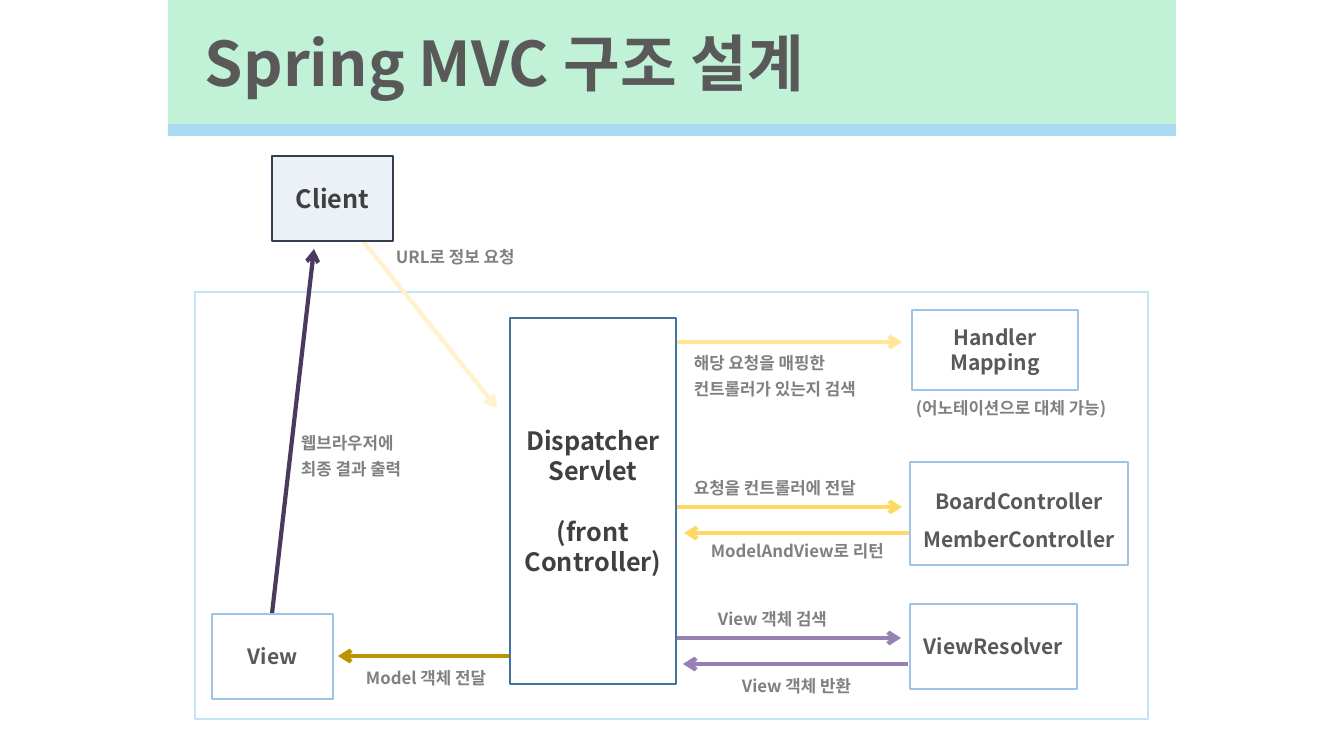
from lxml import etree
from pptx import Presentation
from pptx import util as u
from pptx.dml.color import RGBColor
from pptx.enum import shapes, text
from pptx.oxml.ns import qn

SCALE = 914400 / 100.8  # EMU per pixel
FONT = "Noto Sans CJK KR"
COLORS = {
    "mint": "C1F1D6", "sky": "A8DBF2", "frame": "C0E5F6",
    "title": "595959", "strong": "404040", "label": "808080",
    "client_fill": "ECF1F8", "client_edge": "333F50",
    "servlet_edge": "43739E", "box_edge": "9DC3E6",
    "request": "FFF2CC", "mapping": "FFE699", "controller": "FFD966",
    "resolver": "9780B2", "model": "BF9000", "response": "4B3A60",
}


def px(*lengths):
    return [u.Emu(round(length * SCALE)) for length in lengths]


def rgb(name):
    return RGBColor.from_string(COLORS[name])


def write(shape, lines, size, color, align, spacing=None):
    frame = shape.text_frame
    frame.word_wrap = True
    frame.vertical_anchor = text.MSO_ANCHOR.MIDDLE
    for index, line in enumerate(lines):
        paragraph = frame.paragraphs[0] if index == 0 else frame.add_paragraph()
        paragraph.alignment = align
        if spacing:
            paragraph.line_spacing = spacing
        run = paragraph.add_run()
        run.text = line
        run.font.size = u.Pt(size)
        run.font.bold = True
        run.font.name = FONT
        run.font.color.rgb = rgb(color)
        east_asian = etree.SubElement(run.font._element, qn("a:ea"))
        east_asian.set("typeface", FONT)
    return frame


def add_box(slide, area, fill=None, edge=None):
    box = slide.shapes.add_shape(shapes.MSO_SHAPE.RECTANGLE, *px(*area))
    box.shadow.inherit = False
    if fill:
        box.fill.solid()
        box.fill.fore_color.rgb = rgb(fill)
    else:
        box.fill.background()
    if edge:
        box.line.color.rgb = rgb(edge)
        box.line.width = u.Pt(1)
    else:
        box.line.fill.background()
    return box


def add_component(slide, area, lines, size=15, color="title",
                  edge="box_edge", fill=None, spacing=None):
    box = add_box(slide, area, fill, edge)
    return write(box, lines, size, color, text.PP_ALIGN.CENTER, spacing)


def add_label(slide, area, *lines):
    label = slide.shapes.add_textbox(*px(*area))
    spacing = 1.3 if len(lines) > 1 else None
    write(label, lines, 12, "label", text.PP_ALIGN.LEFT, spacing)


def add_arrow(slide, start, end, color):
    arrow = slide.shapes.add_connector(
        shapes.MSO_CONNECTOR.STRAIGHT, *px(*start, *end))
    arrow.line.color.rgb = rgb(color)
    arrow.line.width = u.Pt(3)
    etree.SubElement(arrow.line._get_or_add_ln(), qn("a:tailEnd"), type="arrow")
    etree.SubElement(arrow._element.spPr, qn("a:effectLst"))


def main():
    deck = Presentation()
    deck.slide_width, deck.slide_height = px(1344, 756)
    slide = deck.slides.add_slide(deck.slide_layouts[6])

    # Server frame and title band
    add_box(slide, (195, 292, 953, 427), edge="frame")
    band = add_box(slide, (168, 0, 1008, 124), fill="mint")
    title = write(band, ["Spring MVC 구조 설계"], 44, "title", text.PP_ALIGN.LEFT)
    title.margin_left = px(37)[0]
    add_box(slide, (168, 124, 1008, 12), fill="sky")

    # Request and response flow
    for start, end, color in [
        ((272, 614), (314, 249), "response"),
        ((363, 241), (497, 408), "request"),
        ((510, 656), (338, 656), "model"),
        ((677, 342), (902, 342), "mapping"),
        ((676, 638), (901, 638), "resolver"),
        ((908, 664), (683, 664), "resolver"),
        ((677, 507), (902, 507), "controller"),
        ((910, 533), (684, 533), "controller"),
    ]:
        add_arrow(slide, start, end, color)

    # Components
    servlet = add_component(
        slide, (510, 318, 166, 366),
        ["Dispatcher", "Servlet", "(front Controller)"],
        18, "strong", "servlet_edge")
    servlet.paragraphs[2].space_before = u.Pt(22)
    add_component(slide, (912, 310, 166, 80), ["Handler", "Mapping"])
    add_component(slide, (910, 462, 218, 103),
                  ["BoardController", "MemberController"], spacing=1.5)
    add_component(slide, (910, 604, 167, 85), ["ViewResolver"])
    add_component(slide, (212, 614, 121, 85), ["View"])
    add_component(slide, (272, 156, 121, 85), ["Client"], 18, "strong",
                  "client_edge", "client_fill")

    # Flow labels
    for area, *lines in [
        ((906, 390, 235, 35), "(어노테이션으로 대체 가능)"),
        ((684, 462, 230, 51), "요청을 컨트롤러에 전달"),
        ((701, 525, 230, 51), "ModelAndView로 리턴"),
        ((708, 593, 151, 51), "View 객체 검색"),
        ((732, 660, 158, 51), "View 객체 반환"),
        ((684, 347, 270, 51), "해당 요청을 매핑한", "컨트롤러가 있는지 검색"),
        ((356, 652, 158, 51), "Model 객체 전달"),
        ((386, 231, 156, 51), "URL로 정보 요청"),
        ((291, 427, 156, 51), "웹브라우저에", "최종 결과 출력"),
    ]:
        add_label(slide, area, *lines)

    deck.save("out.pptx")


main()
